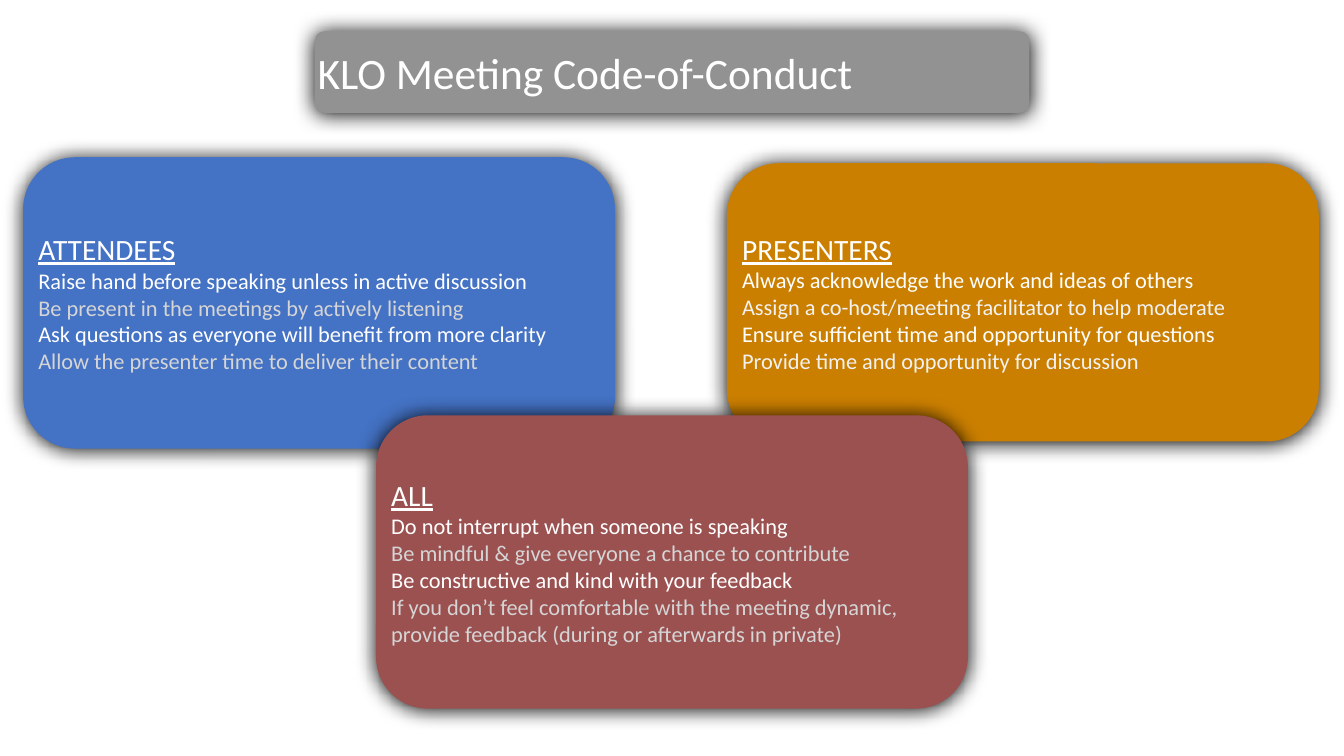
from lxml import etree
from pptx import Presentation
from pptx.dml.color import RGBColor
from pptx.enum import shapes, text
from pptx.oxml import ns
from pptx.util import Inches, Pt

WHITE = RGBColor(0xFF, 0xFF, 0xFF)
SILVER = RGBColor(0xD5, 0xD5, 0xD5)
PALE = RGBColor(0xF2, 0xF2, 0xF2)
GRAY = RGBColor(0x92, 0x92, 0x92)
BLUE = RGBColor(0x44, 0x72, 0xC4)
AMBER = RGBColor(0xCB, 0x7F, 0x00)
MAROON = RGBColor(0x9C, 0x51, 0x51)

FONT = "Calibri"
ROUND = 0.515
WIDTH = 5.87
TITLE = "KLO Meeting Code-of-Conduct"
BAR = (3.12, 0.31, 7.09, 0.81)
BEND = 0.1
INSET = 0.03
CARDS = [
    ("ATTENDEES", (0.23, 1.56, 2.89), BLUE, SILVER, [
        "Raise hand before speaking unless in active discussion",
        "Be present in the meetings by actively listening",
        "Ask questions as everyone will benefit from more clarity",
        "Allow the presenter time to deliver their content",
    ]),
    ("PRESENTERS", (7.21, 1.62, 2.76), AMBER, PALE, [
        "Always acknowledge the work and ideas of others",
        "Assign a co-host/meeting facilitator to help moderate",
        "Ensure sufficient time and opportunity for questions",
        "Provide time and opportunity for discussion",
    ]),
    ("ALL", (3.73, 4.12, 2.91), MAROON, SILVER, [
        "Do not interrupt when someone is speaking",
        "Be mindful & give everyone a chance to contribute",
        "Be constructive and kind with your feedback",
        "If you don’t feel comfortable with the meeting dynamic, "
        "provide feedback (during or afterwards in private)",
    ]),
]


def add(parent, tag, **attrs):
    return etree.SubElement(parent, ns.qn(tag), attrs)


def panel(slide, area, bend, color):
    box = slide.shapes.add_shape(
        shapes.MSO_SHAPE.ROUNDED_RECTANGLE, *map(Inches, area))
    box.adjustments[0] = bend / area[3]
    box.fill.solid()
    box.fill.fore_color.rgb = color
    box.line.fill.background()
    box.shadow.inherit = False
    glow = add(box.element.spPr.find(ns.qn("a:effectLst")), "a:outerShdw",
               blurRad=str(Pt(15)), dist=str(Pt(0.7)), dir="5400000",
               algn="ctr", rotWithShape="0")
    add(glow, "a:srgbClr", val="000000")
    return box


def setup(box):
    frame = box.text_frame
    frame.word_wrap = True
    frame.auto_size = text.MSO_AUTO_SIZE.NONE
    frame.vertical_anchor = text.MSO_ANCHOR.MIDDLE
    frame.margin_left = frame.margin_right = 0
    frame.margin_top = frame.margin_bottom = 0
    return frame


def write(par, words, size, color, under=False):
    par.alignment = text.PP_ALIGN.LEFT
    run = par.add_run()
    run.text = words
    run.font.name = FONT
    run.font.size = Pt(size)
    run.font.color.rgb = color
    run.font.underline = under


def main():
    deck = Presentation()
    deck.slide_width, deck.slide_height = Inches(13.33), Inches(7.5)
    slide = deck.slides.add_slide(deck.slide_layouts[5])

    bar = panel(slide, BAR, BEND, GRAY)
    head = slide.shapes.title
    bar.element.addnext(head.element)
    head.left, head.top = bar.left, bar.top
    head.width, head.height = bar.width, bar.height
    frame = setup(head)
    frame.margin_left = Inches(INSET)
    write(frame.paragraphs[0], TITLE, 31, WHITE)

    for name, (left, top, high), fill, tint, rules in CARDS:
        card = panel(slide, (left, top, WIDTH, high), ROUND, fill)
        frame = setup(card)
        write(frame.paragraphs[0], name, 21, WHITE, True)
        for i, rule in enumerate(rules):
            write(frame.add_paragraph(), rule, 16, tint if i % 2 else WHITE)

    deck.save("out.pptx")


if __name__ == "__main__":
    main()
